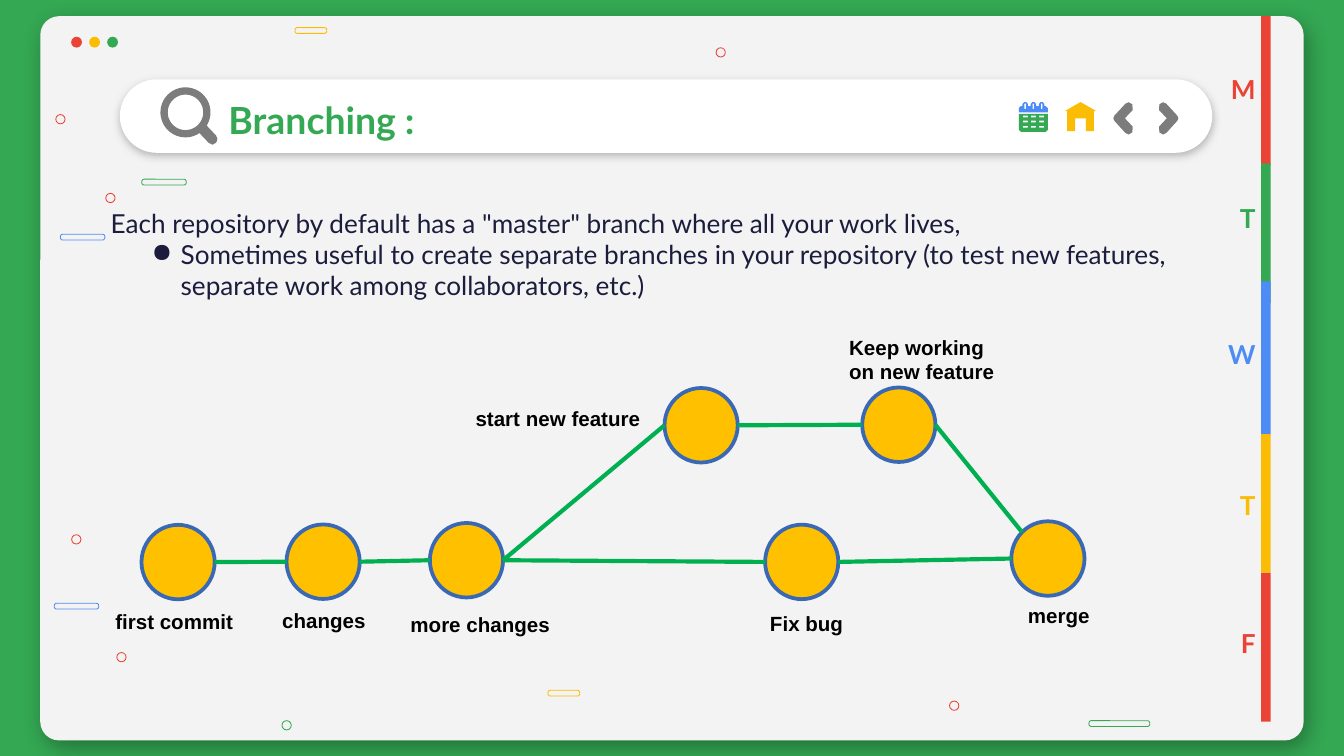
import math
from pptx import Presentation
from pptx.dml.color import RGBColor
from pptx.enum import shapes, text
from pptx.oxml import parse_xml
from pptx.oxml.ns import nsdecls, qn
from pptx.util import Pt

GREEN = RGBColor(0x34, 0xA8, 0x53)
RED = RGBColor(0xEA, 0x43, 0x35)
YELLOW = RGBColor(0xFB, 0xBC, 0x05)
BLUE = RGBColor(0x4D, 0x8C, 0xF5)
PAPER = RGBColor(0xF3, 0xF3, 0xF3)
WHITE = RGBColor(0xFF, 0xFF, 0xFF)
GREY = RGBColor(0x7C, 0x7C, 0x7C)
NAVY = RGBColor(0x1C, 0x1C, 0x3D)
BLACK = RGBColor(0, 0, 0)
AMBER = RGBColor(0xFF, 0xC0, 0x00)
RIM = RGBColor(0x39, 0x68, 0xB5)
BRANCH = RGBColor(0x00, 0xB0, 0x50)

LEFT, RIGHT = text.PP_ALIGN.LEFT, text.PP_ALIGN.RIGHT
CENTER = text.PP_ALIGN.CENTER
MIDDLE, TOP = text.MSO_ANCHOR.MIDDLE, text.MSO_ANCHOR.TOP
KIND = shapes.MSO_SHAPE

prs = Presentation()
prs.slide_width, prs.slide_height = Pt(720), Pt(405)
slide = prs.slides.add_slide(prs.slide_layouts[5])
slide.background.fill.solid()
slide.background.fill.fore_color.rgb = GREEN


def add_preset(kind, x, y, w, h, fill=None, line=None, weight=0.44):
    shape = slide.shapes.add_shape(kind, Pt(x), Pt(y), Pt(w), Pt(h))
    shape.shadow.inherit = False
    if fill is None:
        shape.fill.background()
    else:
        shape.fill.solid()
        shape.fill.fore_color.rgb = fill
    if line is None:
        shape.line.fill.background()
    else:
        shape.line.color.rgb = line
        shape.line.width = Pt(weight)
    return shape


def add_outline(contours, fill):
    points = [[(Pt(x), Pt(y)) for x, y in contour] for contour in contours]
    builder = slide.shapes.build_freeform(*points[0][0])
    builder.add_line_segments(points[0][1:])
    for contour in points[1:]:
        builder.move_to(*contour[0])
        builder.add_line_segments(contour[1:])
    shape = builder.convert_to_shape()
    shape.shadow.inherit = False
    shape.fill.solid()
    shape.fill.fore_color.rgb = fill
    shape.line.fill.background()


# Window card and search bar, both with a soft shadow
card = add_preset(KIND.ROUNDED_RECTANGLE, 21.6, 8.7, 676.8, 388, PAPER)
card.adjustments[0] = 0.026
search_bar = add_preset(KIND.ROUNDED_RECTANGLE, 64.2, 42.5, 585.2, 39.4, WHITE)
search_bar.adjustments[0] = 0.5
for panel, tint, opacity, blur, distance, angle in [
        (card, BLACK, 32, 12.4, 5.2, 57), (search_bar, GREY, 50, 4.5, 1.5, 90)]:
    panel._element.spPr.find(qn("a:effectLst")).append(parse_xml(
        f'<a:outerShdw {nsdecls("a")} blurRad="{Pt(blur)}" dist="{Pt(distance)}" '
        f'dir="{angle * 60000}" algn="bl" rotWithShape="0"><a:srgbClr val="{tint}">'
        f'<a:alpha val="{opacity * 1000}"/></a:srgbClr></a:outerShdw>'))

# Magnifier: a ring whose rim opens into the handle
rim, lens = [[(99.4 + r * math.cos(math.radians(a)), 60.2 + r * math.sin(math.radians(a)))
              for a in range(start, end, 6)] for r, start, end in [(13.4, 56, 393), (9.5, 0, 360)]]
handle = [(115.8, 72.6), (116.5, 74.4), (115.9, 76.4), (113.9, 77.5), (111.8, 76.5)]
add_outline([rim + handle, lens], GREY)

# Window buttons
for i, colour in enumerate([RED, YELLOW, GREEN]):
    add_preset(KIND.OVAL, 38.1 + 9.65 * i, 19.7, 5.8, 5.8, colour)

# Scattered pills and rings
for x, y, w, colour in [
        (293.6, 369.8, 17, YELLOW), (583.4, 386.1, 32.6, GREEN), (32.4, 125.5, 23.8, BLUE),
        (29.1, 323.2, 23.8, BLUE), (76, 96, 23.8, GREEN), (158.1, 14.8, 17, YELLOW)]:
    add_preset(KIND.ROUNDED_RECTANGLE, x, y, w, 3.1, line=colour).adjustments[0] = 0.4
for x, y, colour in [
        (38.4, 286.5, RED), (56.7, 103.6, RED), (29.9, 61.4, RED), (62.6, 349.6, RED),
        (151.1, 386.1, GREEN), (508.7, 375.6, RED), (383.6, 25.6, RED)]:
    add_preset(KIND.OVAL, x, y, 5, 5, line=colour)

# Title, brought in front of the search bar
title = slide.shapes.title
slide.shapes._spTree.append(title._element)
title.left, title.top, title.width, title.height = Pt(115.2), Pt(45.4), Pt(510.5), Pt(37.4)

# Day strip; each bar runs on into the next
for y, h, colour in [(8.7, 79.9, RED), (87.5, 74.9, GREEN), (150.8, 82.1, BLUE),
                     (306.7, 79.9, RED), (232.6, 74.2, YELLOW)]:
    add_preset(KIND.RECTANGLE, 675.7, y, 5, h, colour)

# Calendar icon
holes = [[(x, y), (x + 2.7, y), (x + 2.7, y + 0.9), (x, y + 0.9)]
         for y in (62, 64.7, 67.5) for x in (548, 552.3, 556.7)]
add_outline([[(545.8, 61), (561.4, 61), (561.4, 69.5), (560.3, 70.6),
              (546.9, 70.6), (545.8, 69.5)]] + holes, GREEN)
header, slots = [(545.8, 60.2), (545.8, 58), (546.9, 56.9)], []
for x in (547.8, 552.2, 556.6):
    header += [(x, 56.9), (x, 55.7), (x + 0.9, 54.7), (x + 2, 54.7), (x + 2.9, 55.7), (x + 2.9, 56.9)]
    slots.append([(x + 1, 55.6), (x + 1.9, 55.6), (x + 1.9, 58.4), (x + 1, 58.4)])
header += [(560.3, 56.9), (561.4, 58), (561.4, 60.2)]
add_outline([header] + slots, BLUE)

# Home icon
add_outline([[(578.9, 54.7), (570.4, 59.6), (571.7, 59.6), (571.7, 70.3), (576, 70.3), (576, 63.4),
              (581.8, 63.4), (581.8, 70.3), (586.1, 70.3), (586.1, 59.6), (587.4, 59.6)]], YELLOW)

# Previous and next arrows, mirrored
chevron = [(3.2, 0), (4.9, 0.8), (10.8, 7.2), (11.4, 8.6), (10.8, 10), (4.9, 16.5),
           (3.2, 17.3), (1.2, 16.2), (1, 13.1), (5.2, 8.6), (1, 4.2), (1.2, 1.1)]
for origin, direction in [(607.8, -1), (619.9, 1)]:
    add_outline([[(origin + direction * x, 54.8 + y) for x, y in chevron]], GREY)

# Commits
COMMIT_W, COMMIT_H = 39.2, 39.9
commits = {"first": (75.8, 281.2), "changes": (153.5, 281), "more": (230.3, 280.2),
           "keep": (461.9, 207.6), "fix": (409.9, 281.1), "start": (356, 207.9),
           "merge": (541.8, 279.3)}
for x, y in commits.values():
    add_preset(KIND.FLOWCHART_CONNECTOR, x, y, COMMIT_W, COMMIT_H, AMBER, RIM, 2)

# Branch lines, from the right of one commit to the left of the next
for before, after in [("first", "changes"), ("changes", "more"), ("more", "start"), ("more", "fix"),
                      ("keep", "merge"), ("start", "keep"), ("fix", "merge")]:
    (x1, y1), (x2, y2) = commits[before], commits[after]
    x1, y1, y2 = x1 + COMMIT_W, y1 + COMMIT_H / 2, y2 + COMMIT_H / 2
    if before == "keep":  # this one lands on the upper left of the circle
        x2 += COMMIT_W / 2 * (1 - math.sqrt(0.5))
        y2 -= COMMIT_H / 2 * math.sqrt(0.5)
    branch = slide.shapes.add_connector(shapes.MSO_CONNECTOR.STRAIGHT, Pt(x1), Pt(y1), Pt(x2), Pt(y2))
    branch.line.color.rgb = BRANCH
    branch.line.width = Pt(2.25)
    branch._element.spPr.append(parse_xml(f'<a:effectLst {nsdecls("a")}/>'))

# Text: day letters, commit labels, title and body
days = [(645.1, y, 34.6, 22.3, day, 14, "Lato", colour, True, RIGHT, 7.2, MIDDLE)
        for y, day, colour in [(36.7, "M", RED), (105.8, "T", GREEN), (178.6, "W", BLUE),
                               (259.2, "T", YELLOW), (333.4, "F", RED)]]
labels = [(x, y, w, h, label, 11, "Arial", BLACK, True, CENTER if label == "changes" else LEFT, 3.6, TOP)
          for x, y, w, h, label in [
              (54.7, 322.6, 97.9, 20.9, "first commit"), (124.6, 322.3, 97.9, 20.9, "changes"),
              (212.8, 324.2, 97.9, 20.9, "more changes"),
              (447.8, 175.7, 97.9, 33.8, "Keep working on new feature"),
              (247.7, 213.8, 108, 20.9, "start new feature"),
              (405.4, 323.6, 65.5, 20.9, "Fix bug"), (543.6, 319.4, 52.6, 20.9, "merge")]]
body = (43.2, 65.5, 594, 141.1,
        'Each repository by default has a "master" branch where all your work lives,\n'
        "Sometimes useful to create separate branches in your repository "
        "(to test new features, separate work among collaborators, etc.)",
        14, "Lato", NAVY, False, LEFT, 7.2, MIDDLE)
heading = (0, 0, 0, 0, "Branching :", 20, "Lato", GREEN, True, LEFT, 7.2, MIDDLE)
for x, y, w, h, words, size, font, colour, bold, align, inset, anchor in [heading, body] + days + labels:
    box = title if words == "Branching :" else slide.shapes.add_textbox(Pt(x), Pt(y), Pt(w), Pt(h))
    frame = box.text_frame
    frame.word_wrap = True
    frame.vertical_anchor = anchor
    frame.margin_left = frame.margin_right = Pt(7.2)
    frame.margin_top = frame.margin_bottom = Pt(inset)
    if font == "Arial":
        frame.auto_size = text.MSO_AUTO_SIZE.SHAPE_TO_FIT_TEXT
    for i, line in enumerate(words.split("\n")):
        paragraph = frame.paragraphs[0] if i == 0 else frame.add_paragraph()
        paragraph.alignment = align
        if colour == NAVY:
            props = paragraph._p.get_or_add_pPr()
            props.set("marL", str(Pt(46.5 if i else 36)))
            props.set("indent", str(Pt(-15.5 if i else -27)))
            if i:
                props.append(parse_xml(f'<a:buChar {nsdecls("a")} char="●"/>'))
        run = paragraph.add_run()
        run.text = line
        run.font.size, run.font.name, run.font.bold = Pt(size), font, bold
        run.font.color.rgb = colour

prs.save("out.pptx")
